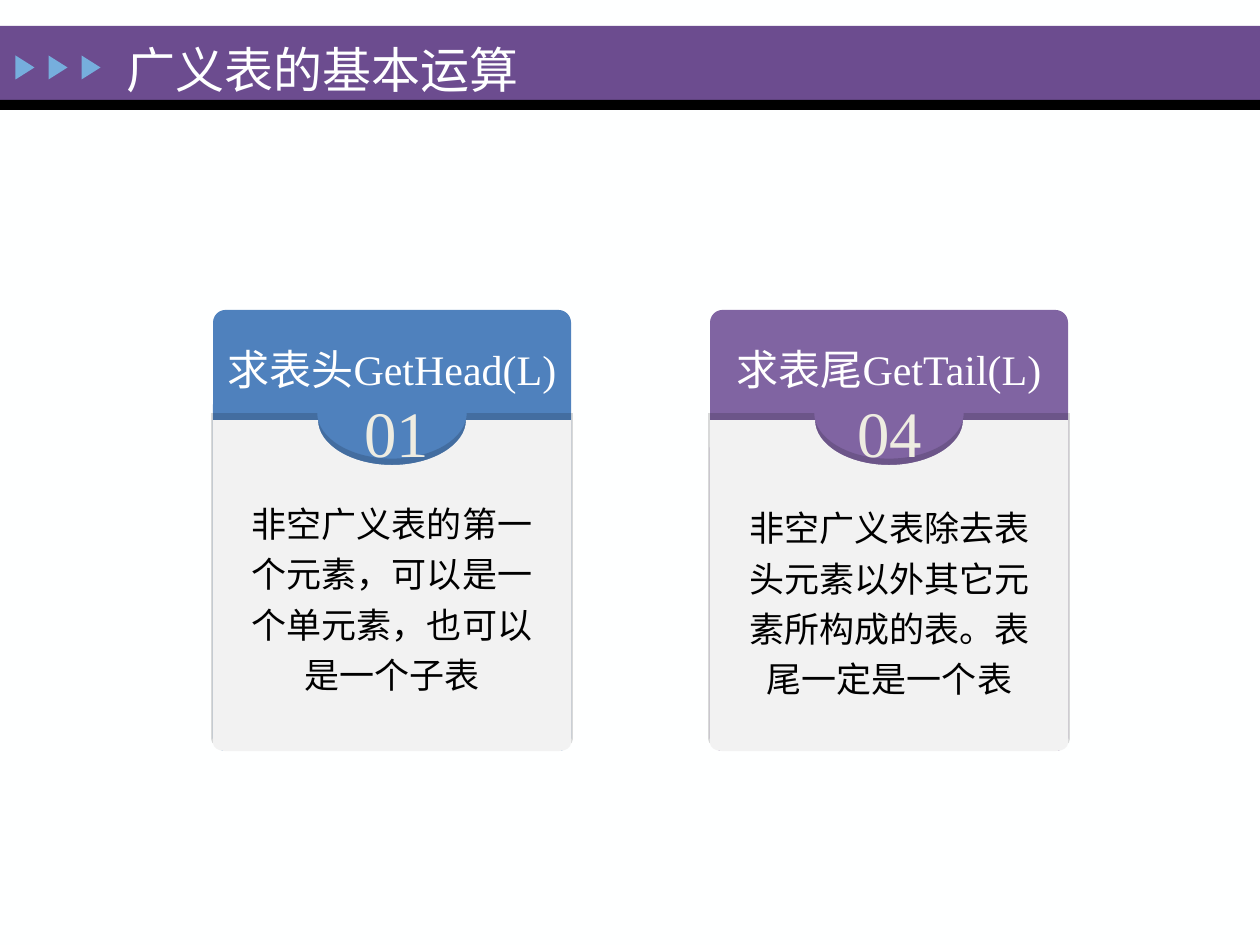
from dataclasses import dataclass

from lxml.etree import SubElement
from pptx import Presentation
from pptx.dml.color import RGBColor
from pptx.enum.shapes import MSO_SHAPE as Preset
from pptx.enum.text import MSO_ANCHOR as Anchor, MSO_AUTO_SIZE as AutoSize, PP_ALIGN as Align
from pptx.oxml.ns import qn
from pptx.util import Pt

SCALE = 914400 / 126
ARC_RATIO = 0.55
WHITE = RGBColor(0xFE, 0xFF, 0xFF)
PURE_WHITE = RGBColor(0xFF, 0xFF, 0xFF)
BLACK = RGBColor(0, 0, 0)
BANNER = RGBColor(0x6C, 0x4C, 0x8F)
SKY = RGBColor(0x76, 0xAE, 0xDD)
BLUE = RGBColor(0x4F, 0x81, 0xBD)
PURPLE = RGBColor(0x80, 0x64, 0xA2)
PANEL = RGBColor(0xF2, 0xF2, 0xF2)
CREAM = RGBColor(0xEE, 0xEC, 0xE1)

CARD_TOP, CARD_WIDTH, CARD_HEIGHT = 310, 358, 441
PANEL_HEIGHT = 331
NOTCH_WIDTH, NOTCH_HEIGHT = 74, 45
CORNER_WIDTH, CORNER_HEIGHT = 12, 8


@dataclass(frozen=True)
class Box:
    left: int
    top: int
    width: int
    height: int

    def emu(self) -> list[int]:
        return [px(value) for value in (self.left, self.top, self.width, self.height)]


@dataclass(frozen=True)
class Card:
    left: int
    color: RGBColor
    heading: str
    number: str
    number_box: Box
    body: str
    body_box: Box


CARDS = [
    Card(213, BLUE, "求表头GetHead(L)", "01", Box(351, 387, 91, 84),
         "非空广义表的第一个元素，可以是一个单元素，也可以是一个子表", Box(228, 488, 328, 223)),
    Card(710, PURPLE, "求表尾GetTail(L)", "04", Box(844, 387, 91, 84),
         "非空广义表除去表头元素以外其它元素所构成的表。表尾一定是一个表", Box(731, 492, 317, 218)),
]


def px(value: float) -> int:
    return round(value * SCALE)


def paint(shape, color: RGBColor):
    shape.shadow.inherit = False
    shape.fill.solid()
    shape.fill.fore_color.rgb = color
    shape.line.fill.background()
    return shape


def add_preset(parent, preset: Preset, box: Box, color: RGBColor):
    return paint(parent.shapes.add_shape(preset, *box.emu()), color)


def write(shape, text: str, size: int, color: RGBColor, align: Align = Align.CENTER,
          spacing: float = 1.0, **frame_format) -> None:
    frame = shape.text_frame
    values = {"word_wrap": True, "auto_size": AutoSize.NONE, "vertical_anchor": Anchor.TOP}
    for name, value in (values | frame_format).items():
        setattr(frame, name, value)
    para = frame.paragraphs[0]
    para.alignment = align
    para.line_spacing = spacing
    span = para.add_run()
    span.text = text
    for name, value in {"name": "Times New Roman", "size": Pt(size)}.items():
        setattr(span.font, name, value)
    span.font.color.rgb = color


def bend(segment, start: tuple[int, int], end: tuple[int, int], vertical_first: bool) -> None:
    (x1, y1), (x2, y2) = start, end
    reach_x, reach_y = ARC_RATIO * (x2 - x1), ARC_RATIO * (y2 - y1)
    if vertical_first:
        controls = [(x1, y1 + reach_y), (x2 - reach_x, y2)]
    else:
        controls = [(x1 + reach_x, y1), (x2, y2 - reach_y)]
    segment.tag = qn("a:cubicBezTo")
    for index, (x, y) in enumerate(controls):
        point = segment.makeelement(qn("a:pt"), {"x": str(px(x)), "y": str(px(y))})
        segment.insert(index, point)


def add_panel(parent, left: int) -> None:
    middle = CARD_WIDTH // 2
    corner_y = PANEL_HEIGHT - CORNER_HEIGHT
    points = [
        (0, 0), (middle - NOTCH_WIDTH, 0), (middle, NOTCH_HEIGHT), (middle + NOTCH_WIDTH, 0),
        (CARD_WIDTH, 0), (CARD_WIDTH, corner_y), (CARD_WIDTH - CORNER_WIDTH, PANEL_HEIGHT),
        (CORNER_WIDTH, PANEL_HEIGHT), (0, corner_y),
    ]
    bends = {2: True, 3: False, 6: True, 8: False}
    builder = parent.shapes.build_freeform(0, 0)
    builder.add_line_segments([(px(x), px(y)) for x, y in points[1:]], close=True)
    top = CARD_TOP + CARD_HEIGHT - PANEL_HEIGHT
    panel = paint(builder.convert_to_shape(px(left), px(top)), PANEL)
    segments = list(panel._element.iter(qn("a:lnTo")))
    for index, vertical_first in bends.items():
        bend(segments[index - 1], points[index - 1], points[index], vertical_first)
    effects = panel._element.spPr.find(qn("a:effectLst"))
    shadow = SubElement(effects, qn("a:outerShdw"), blurRad="0", dist=str(Pt(2)), dir="16200000",
                        sx="101000", sy="101000", algn="b", rotWithShape="0")
    tint = SubElement(shadow, qn("a:srgbClr"), val=str(BLACK))
    SubElement(tint, qn("a:alpha"), val="14000")


def add_card(page, card: Card) -> None:
    group = page.shapes.add_group_shape()
    base = add_preset(group, Preset.ROUNDED_RECTANGLE,
                      Box(card.left, CARD_TOP, CARD_WIDTH, CARD_HEIGHT), card.color)
    base.adjustments[0] = 0.035
    write(base, card.heading, 24, PURE_WHITE, word_wrap=False, margin_top=px(30), margin_bottom=px(30))
    add_panel(group, card.left)
    number = group.shapes.add_textbox(*card.number_box.emu())
    write(number, card.number, 37, CREAM, word_wrap=False)
    body = group.shapes.add_textbox(*card.body_box.emu())
    write(body, card.body, 20, BLACK, spacing=1.2)


def add_header(page) -> None:
    add_preset(page, Preset.RECTANGLE, Box(0, 26, 1260, 74), BANNER)
    add_preset(page, Preset.RECTANGLE, Box(0, 100, 1260, 10), BLACK)
    arrows = page.shapes.add_group_shape()
    for index in range(3):
        arrow = add_preset(arrows, Preset.ISOSCELES_TRIANGLE, Box(13 + 33 * index, 58, 24, 19), SKY)
        arrow.rotation = 90
    title = page.shapes.title
    title.left, title.top, title.width, title.height = Box(114, 33, 1186, 71).emu()
    write(title, "广义表的基本运算", 28, WHITE, align=Align.LEFT, vertical_anchor=Anchor.MIDDLE)
    page.shapes._spTree.append(title._element)


def main() -> None:
    deck = Presentation()
    deck.slide_width, deck.slide_height = px(1260), px(945)
    page = deck.slides.add_slide(deck.slide_layouts[5])
    page.background.fill.solid()
    page.background.fill.fore_color.rgb = WHITE
    add_header(page)
    for card in CARDS:
        add_card(page, card)
    deck.save("out.pptx")


if __name__ == "__main__":
    main()
